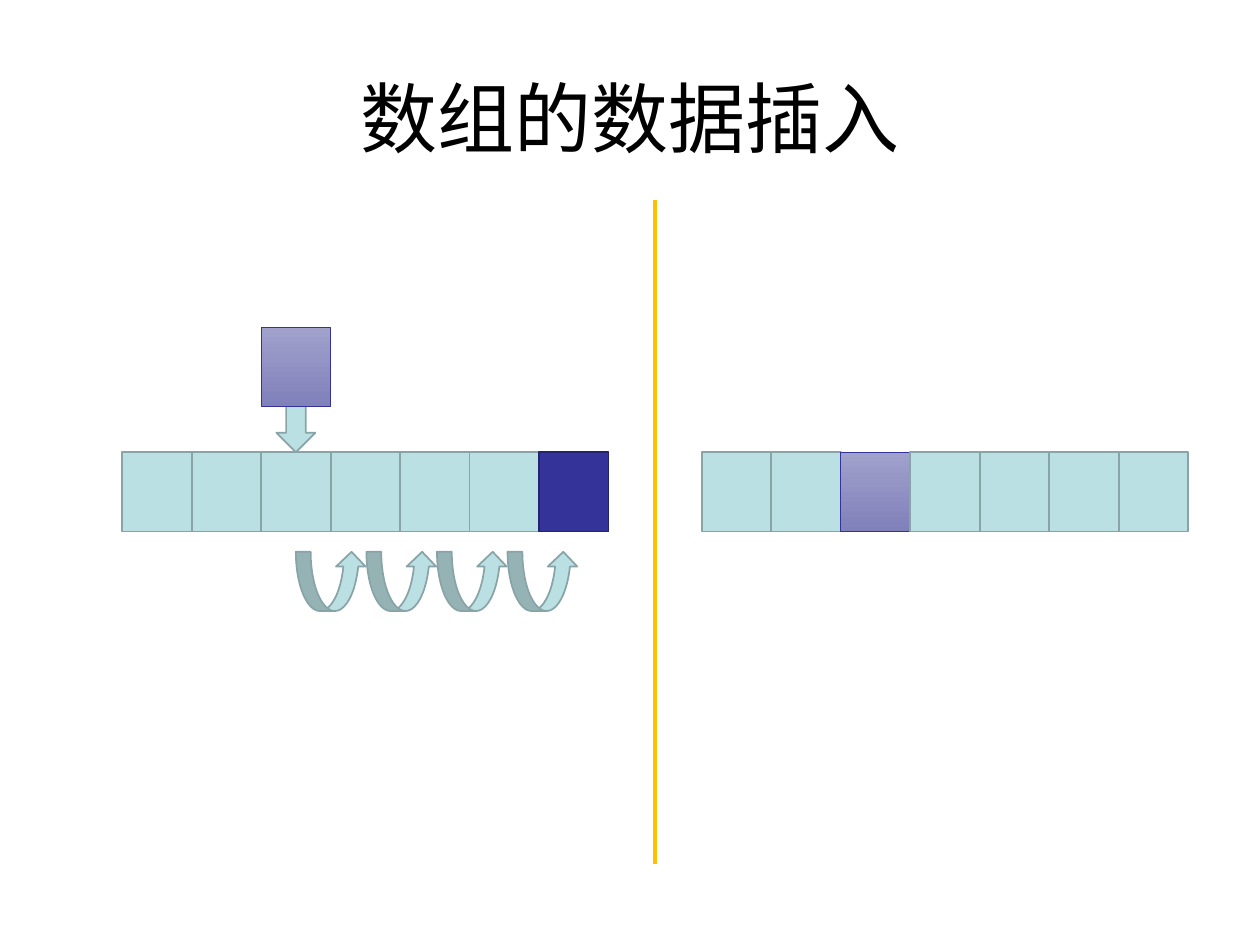
from dataclasses import dataclass

from lxml import etree
from pptx import Presentation
from pptx.dml.color import RGBColor
from pptx.enum import shapes as kinds, text
from pptx.oxml.ns import qn
from pptx.util import Inches, Pt


@dataclass(frozen=True)
class Theme:
    font: str = "Arial"
    title_size: int = 44
    ink: str = "000000"
    cell: tuple = ("BBE0E3",)
    cell_edge: str = "89A4A7"
    spare: tuple = ("333399",)
    spare_edge: str = "23236F"
    new: tuple = ("A1A1CC", "8080BB")
    new_edge: str = "333399"
    divider: str = "FFC000"


THEME = Theme()
STYLES = {  # fill colours, edge colour, edge width
    "cell": (THEME.cell, THEME.cell_edge, 1),
    "spare": (THEME.spare, THEME.spare_edge, 1),
    "new": (THEME.new, THEME.new_edge, 0.5),
}

TITLE = "数组的数据插入"
INSERT_AT = 2
BEFORE = ["cell"] * 6 + ["spare"]
AFTER = ["new" if i == INSERT_AT else "cell" for i in range(7)]

SLIDE_W, SLIDE_H = 10, 7.5
ROW_W, CELL_H = 3.86, 0.63
CELL_W = ROW_W / len(BEFORE)
BEFORE_X, AFTER_X, ROW_Y = 0.97, 5.57, 3.59
NEW_Y = 2.6
DOWN_W, DOWN_H = 0.31, 0.87
HOP_W, HOP_H, HOP_Y = 0.56, 0.47, 4.38
DIVIDER_X, DIVIDER_TOP, DIVIDER_BOTTOM = 5.2, 1.59, 6.86


def rgb(colour):
    return RGBColor.from_string(colour)


def add_block(slide, kind, style, left, top, width, height):
    block = slide.shapes.add_shape(
        kind, Inches(left), Inches(top), Inches(width), Inches(height))
    block.shadow.inherit = False
    fills, edge, edge_width = STYLES[style]
    if len(fills) == 1:
        block.fill.solid()
        block.fill.fore_color.rgb = rgb(fills[0])
    else:
        block.fill.gradient()
        block.fill.gradient_angle = 270
        for stop, colour in zip(block.fill.gradient_stops, fills):
            stop.color.rgb = rgb(colour)
    block.line.color.rgb = rgb(edge)
    block.line.width = Pt(edge_width)


def add_array(slide, left, cells):
    for i, style in enumerate(cells):
        add_block(slide, kinds.MSO_SHAPE.RECTANGLE, style,
                  left + i * CELL_W, ROW_Y, CELL_W, CELL_H)


def add_title(slide):
    title = slide.shapes.title
    title.left, title.top = Inches(0.5), Inches(0.3)
    title.width, title.height = Inches(SLIDE_W - 1), Inches(1.25)
    title.text_frame.vertical_anchor = text.MSO_ANCHOR.MIDDLE
    paragraph = title.text_frame.paragraphs[0]
    paragraph.alignment = text.PP_ALIGN.CENTER
    run = paragraph.add_run()
    run.text = TITLE
    run.font.name = THEME.font
    run.font.size = Pt(THEME.title_size)
    run.font.color.rgb = rgb(THEME.ink)


def add_insertion(slide):
    """New value above its slot, and a hop for each value that moves right."""
    slot_x = BEFORE_X + INSERT_AT * CELL_W
    middle = slot_x + CELL_W / 2
    add_block(slide, kinds.MSO_SHAPE.DOWN_ARROW, "cell",
              middle - DOWN_W / 2, ROW_Y - DOWN_H, DOWN_W, DOWN_H)
    add_block(slide, kinds.MSO_SHAPE.RECTANGLE, "new",
              slot_x, NEW_Y, CELL_W, CELL_H)
    for hop in range(BEFORE.count("cell") - INSERT_AT):
        add_block(slide, kinds.MSO_SHAPE.CURVED_UP_ARROW, "cell",
                  middle + hop * HOP_W, HOP_Y, HOP_W, HOP_H)


def add_divider(slide):
    divider = slide.shapes.add_connector(
        kinds.MSO_CONNECTOR.STRAIGHT, Inches(DIVIDER_X), Inches(DIVIDER_TOP),
        Inches(DIVIDER_X), Inches(DIVIDER_BOTTOM))
    divider.line.color.rgb = rgb(THEME.divider)
    divider.line.width = Pt(2.25)
    etree.SubElement(divider._element.spPr, qn("a:effectLst"))


def main():
    deck = Presentation()
    deck.slide_width, deck.slide_height = Inches(SLIDE_W), Inches(SLIDE_H)
    slide = deck.slides.add_slide(deck.slide_layouts.get_by_name("Title Only"))
    add_title(slide)
    add_array(slide, BEFORE_X, BEFORE)
    add_insertion(slide)
    add_array(slide, AFTER_X, AFTER)
    add_divider(slide)
    deck.save("out.pptx")


if __name__ == "__main__":
    main()
